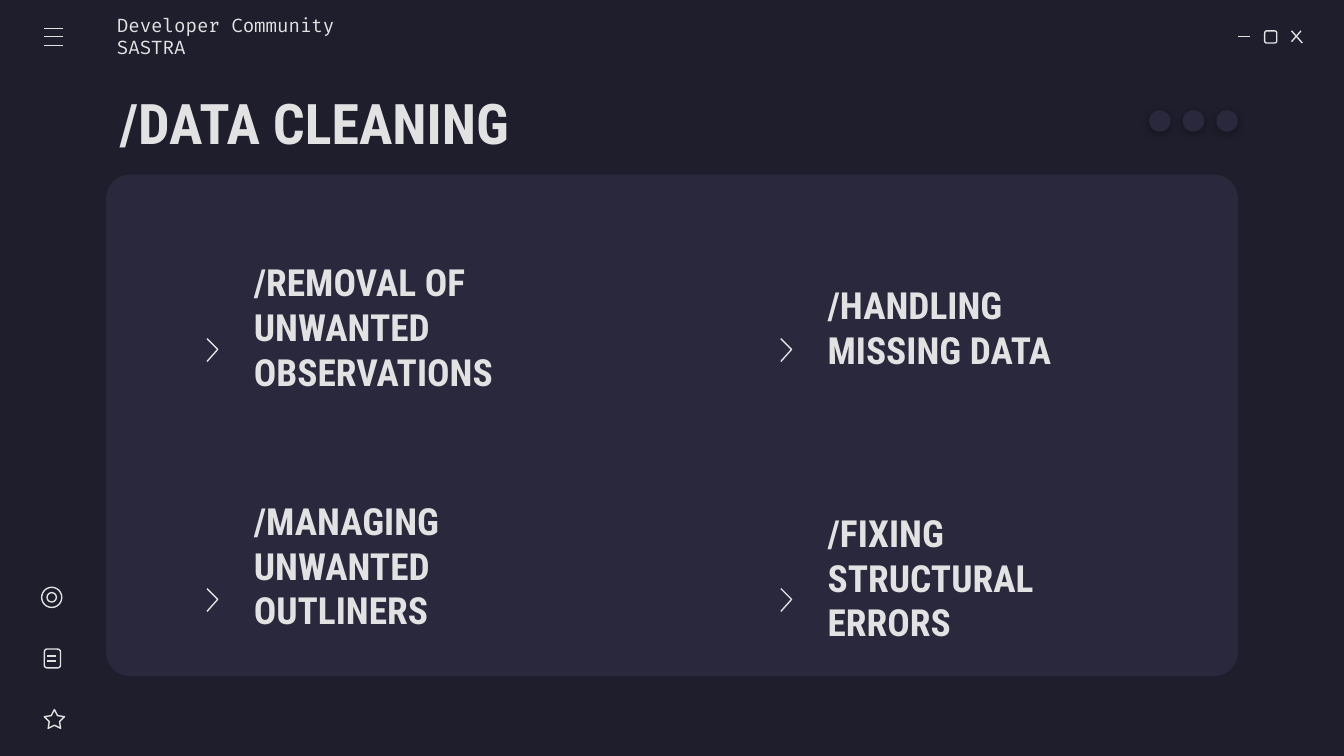
from lxml.etree import SubElement
from pptx import Presentation
from pptx.dml.color import RGBColor
from pptx.enum.shapes import MSO_CONNECTOR, MSO_SHAPE
from pptx.enum.text import MSO_ANCHOR, MSO_AUTO_SIZE, PP_ALIGN
from pptx.oxml.ns import qn
from pptx.util import Inches, Pt

# Content
TITLE = "/DATA CLEANING"
SUBTITLE = "Developer Community SASTRA"
HEADINGS = [  # text, left, top, width, height
    ("/REMOVAL OF UNWANTED OBSERVATIONS", 1.79, 1.96, 2.29, 0.94),
    ("/MANAGING UNWANTED OUTLINERS", 1.79, 3.87, 2, 0.67),
    ("/HANDLING MISSING DATA", 6.06, 2.1, 2, 0.67),
    ("/FIXING STRUCTURAL ERRORS", 6.06, 3.96, 2, 0.67),
]
COLORS = {"background": "1E1E2C", "panel": "29283D", "light": "E2E2E2"}
HEADING_FONT, CODE_FONT = "Roboto Condensed", "Fira Code"

# Icons
ICON_LINES = [  # x1, y1, x2, y2
    (9.21, 0.27, 9.3, 0.27),  # minimize
    (9.61, 0.23, 9.69, 0.32), (9.68, 0.23, 9.61, 0.31),  # close
    *[(0.33, y, 0.47, y) for y in (0.21, 0.27, 0.34)],  # menu
    *[(0.35, y, 0.42, y) for y in (4.88, 4.92)],  # note
]
ICON_SHAPES = [  # preset, left, top, width, height
    (MSO_SHAPE.ROUNDED_RECTANGLE, 9.41, 0.23, 0.09, 0.09),  # maximize
    (MSO_SHAPE.STAR_5_POINT, 0.33, 5.28, 0.15, 0.14),
    (MSO_SHAPE.ROUNDED_RECTANGLE, 0.33, 4.83, 0.12, 0.14),  # note
    (MSO_SHAPE.OVAL, 0.31, 4.37, 0.15, 0.15),  # target
    (MSO_SHAPE.OVAL, 0.35, 4.41, 0.07, 0.07),
]


def color(name):
    return RGBColor.from_string(COLORS[name])


def style_outline(shape):
    shape.shadow.inherit = False
    shape.fill.background()
    shape.line.color.rgb = color("light")
    shape.line.width = Pt(0.75)


def add_filled(preset, *box):
    shape = slide.shapes.add_shape(preset, *map(Inches, box))
    shape.shadow.inherit = False
    shape.fill.solid()
    shape.fill.fore_color.rgb = color("panel")
    shape.line.fill.background()
    return shape


def add_soft_shadow(shape):
    effects = shape._element.spPr.find(qn("a:effectLst"))
    shadow = SubElement(effects, qn("a:outerShdw"), blurRad=str(Pt(4.5)),
                        dist=str(Pt(1.5)), dir="5400000", algn="bl", rotWithShape="0")
    black = SubElement(shadow, qn("a:srgbClr"), val="000000")
    SubElement(black, qn("a:alpha"), val="30000")


def set_text(shape, text, box, font_name, size, bold, left_inset=0.1):
    shape.left, shape.top, shape.width, shape.height = map(Inches, box)
    frame = shape.text_frame
    frame.text = text
    frame.word_wrap = True
    frame.auto_size = MSO_AUTO_SIZE.NONE
    frame.vertical_anchor = MSO_ANCHOR.MIDDLE
    frame.margin_left = Inches(left_inset)
    frame.margin_top = frame.margin_right = frame.margin_bottom = Inches(0.1)
    paragraph = frame.paragraphs[0]
    paragraph.alignment = PP_ALIGN.LEFT
    paragraph.space_before = Pt(0)
    font = paragraph.font
    font.name, font.size, font.bold = font_name, Pt(size), bold
    font.color.rgb = color("light")


# Widescreen slide, 16:9
presentation = Presentation()
presentation.slide_width = Inches(10)
presentation.slide_height = Inches(10 * 9 / 16)
slide = presentation.slides.add_slide(presentation.slide_layouts[0])
slide.background.fill.solid()
slide.background.fill.fore_color.rgb = color("background")

# Panel
panel = add_filled(MSO_SHAPE.ROUNDED_RECTANGLE, 0.79, 1.3, 8.42, 3.73)
panel.adjustments[0] = 0.047

# Window controls, menu and sidebar icons
for preset, *box in ICON_SHAPES:
    icon = slide.shapes.add_shape(preset, *map(Inches, box))
    style_outline(icon)
    if preset == MSO_SHAPE.STAR_5_POINT:
        icon.adjustments[0] = 0.254
for ends in ICON_LINES:
    line = slide.shapes.add_connector(MSO_CONNECTOR.STRAIGHT, *map(Inches, ends))
    line.line.color.rgb = color("light")
    line.line.width = Pt(0.75)
    SubElement(line._element.spPr, qn("a:effectLst"))

# Title, subtitle and headings
set_text(slide.shapes.title, TITLE, (0.79, 0.59, 8.43, 0.63), HEADING_FONT, 30, True)
set_text(slide.placeholders[1], SUBTITLE, (0.87, 0.12, 2.15, 0.3), CODE_FONT, 10, False, 0)
for text, *box in HEADINGS:
    heading = slide.shapes.add_textbox(*map(Inches, box))
    set_text(heading, text, box, HEADING_FONT, 20, True)

# Chevrons beside the headings
for x in (1.54, 5.81):
    for y in (2.52, 4.38):
        builder = slide.shapes.build_freeform(Inches(x), Inches(y))
        builder.add_line_segments(
            [(Inches(x + 0.08), Inches(y + 0.08)), (Inches(x), Inches(y + 0.17))],
            close=False)
        style_outline(builder.convert_to_shape())

# Dots above the panel
for index in range(3):
    add_soft_shadow(add_filled(MSO_SHAPE.OVAL, 8.55 + 0.25 * index, 0.82, 0.16, 0.16))

presentation.save("out.pptx")
